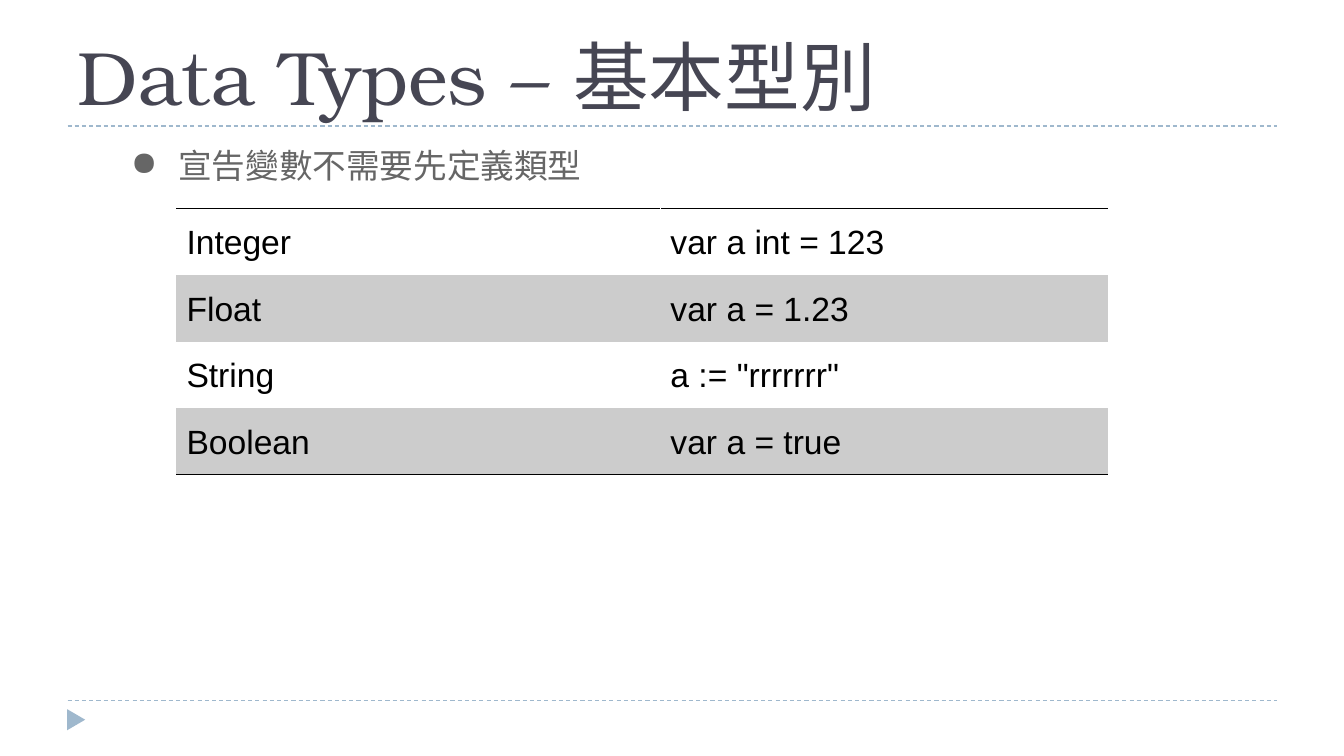
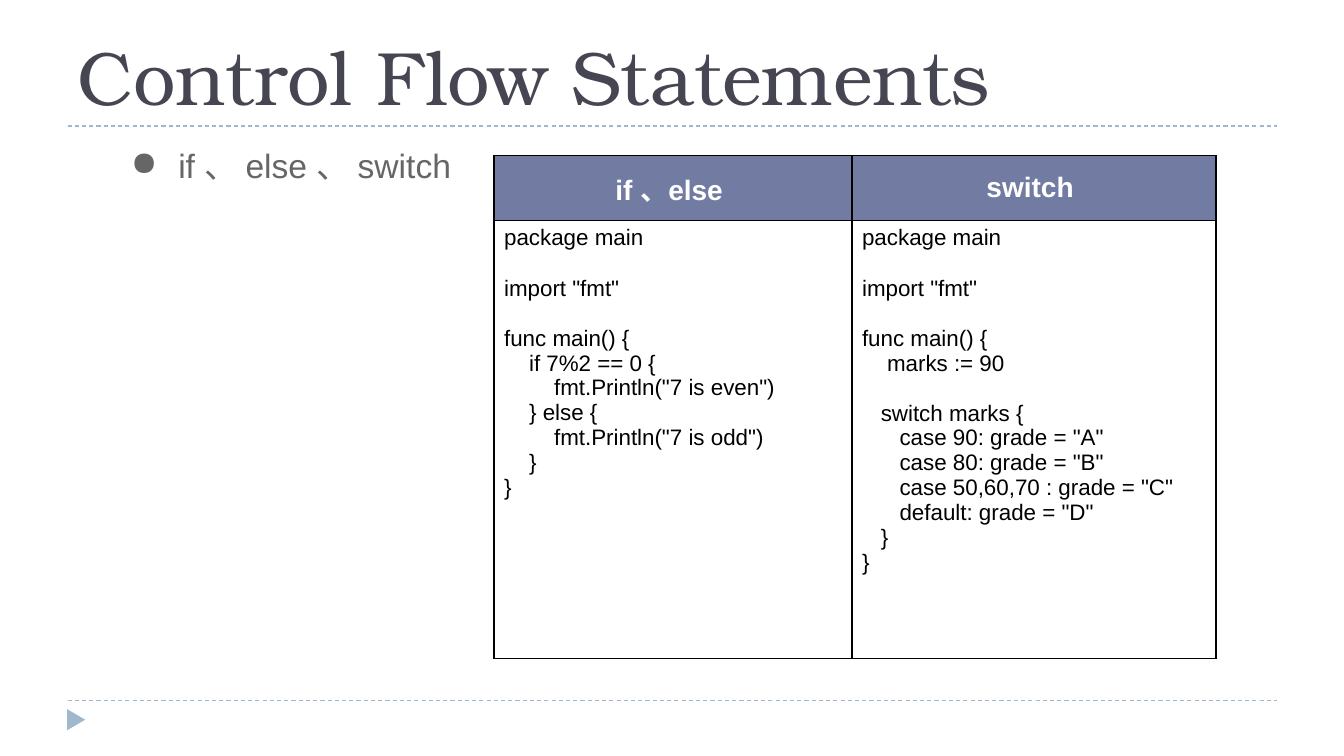
from lxml import etree
from pptx import Presentation
from pptx.dml.color import RGBColor
from pptx.enum import dml, shapes, text
from pptx.oxml import ns
from pptx.util import Inches, Pt

# Shared style
TITLE_FONT, BODY_FONT = "TeX Gyre Bonum", "Arial"
TITLE_COLOR, BODY_COLOR = "464653", "666666"
ACCENT, HEADER_FILL, BAND_FILL = "9FB8CD", "727CA3", "CCCCCC"
BLACK, WHITE = "000000", "FFFFFF"
LEFT, WIDTH = 0.67, 12
TITLE_RULE, FOOTER_RULE = 1.25, 6.95

# Code size, blank-line gap in points, and width of one space in inches
CODE_SIZE, CODE_GAP, SPACE_WIDTH = 16, 18, 0.062

TYPES = [
    ("Integer", "var a int = 123"),
    ("Float", "var a = 1.23"),
    ("String", 'a := "rrrrrrr"'),
    ("Boolean", "var a = true"),
]

# Each code line: indent in spaces, blank lines before, text
CODE_START = [(0, 0, "package main"), (0, 1, 'import "fmt"'), (0, 1, "func main() {")]
IF_CODE = CODE_START + [
    (4, 0, "if 7%2 == 0 {"),
    (8, 0, 'fmt.Println("7 is even")'),
    (4, 0, "} else {"),
    (8, 0, 'fmt.Println("7 is odd")'),
    (4, 0, "}"),
    (0, 0, "}"),
]
SWITCH_CODE = CODE_START + [
    (4, 0, "marks := 90"),
    (3, 1, "switch marks {"),
    (6, 0, 'case 90: grade = "A"'),
    (6, 0, 'case 80: grade = "B"'),
    (6, 0, 'case 50,60,70 : grade = "C"'),
    (6, 0, 'default: grade = "D"'),
    (3, 0, "}"),
    (0, 0, "}"),
]


def rgb(value):
    return RGBColor.from_string(value)


def format_runs(paragraph, size, color, font=BODY_FONT, bold=False):
    for run in paragraph.runs:
        run.font.name = font
        run.font.size = Pt(size)
        run.font.bold = bold
        run.font.color.rgb = rgb(color)


def set_indent(paragraph, margin, first_line=0):
    properties = paragraph._p.get_or_add_pPr()
    properties.set("marL", str(Inches(margin)))
    properties.set("indent", str(Inches(first_line)))
    return properties


def add_rule(slide, top):
    rule = slide.shapes.add_connector(
        shapes.MSO_CONNECTOR.STRAIGHT,
        Inches(LEFT), Inches(top), Inches(LEFT + WIDTH), Inches(top))
    rule.line.color.rgb = rgb(ACCENT)
    rule.line.width = Pt(0.75)
    rule.line.dash_style = dml.MSO_LINE.DASH
    etree.SubElement(rule._element.spPr, ns.qn("a:effectLst"))


def add_frame(slide):
    """Rules above and below the content, and the footer marker."""
    add_rule(slide, FOOTER_RULE)
    add_rule(slide, TITLE_RULE)
    marker = slide.shapes.add_shape(
        shapes.MSO_SHAPE.ISOSCELES_TRIANGLE,
        Inches(0.65), Inches(7.05), Inches(0.21), Inches(0.18))
    marker.rotation = 90
    marker.shadow.inherit = False
    marker.fill.solid()
    marker.fill.fore_color.rgb = rgb(ACCENT)
    marker.line.fill.background()


def set_title(slide, title):
    shape = slide.shapes.title
    shape.left, shape.top = Inches(LEFT), Inches(0.17)
    shape.width, shape.height = Inches(WIDTH), Inches(1.08)
    frame = shape.text_frame
    frame.text = title
    frame.auto_size = text.MSO_AUTO_SIZE.NONE
    frame.vertical_anchor = text.MSO_ANCHOR.BOTTOM
    frame.paragraphs[0].alignment = text.PP_ALIGN.LEFT
    format_runs(frame.paragraphs[0], 54, TITLE_COLOR, TITLE_FONT)


def add_bullet(slide, wording):
    box = slide.shapes.add_textbox(
        Inches(LEFT), Inches(1.33), Inches(WIDTH), Inches(5.4))
    frame = box.text_frame
    frame.word_wrap = True
    frame.text = wording
    paragraph = frame.paragraphs[0]
    paragraph.line_spacing = 1.15
    paragraph.space_before = Pt(11)
    format_runs(paragraph, 24, BODY_COLOR)
    properties = set_indent(paragraph, 1, -0.47)
    bullet_color = etree.SubElement(properties, ns.qn("a:buClr"))
    etree.SubElement(bullet_color, ns.qn("a:srgbClr"), val=BODY_COLOR)
    etree.SubElement(properties, ns.qn("a:buChar"), char="●")


def add_slide(presentation, title, bullet):
    slide = presentation.slides.add_slide(presentation.slide_layouts[5])
    add_frame(slide)
    set_title(slide, title)
    add_bullet(slide, bullet)
    return slide


# Tables
def add_table(slide, left, top, columns, rows):
    frame = slide.shapes.add_table(
        len(rows), len(columns), Inches(left), Inches(top),
        Inches(sum(columns)), Inches(sum(rows)))
    table = frame.table
    table.first_row = table.horz_banding = False
    for column, width in zip(table.columns, columns):
        column.width = Inches(width)
    for row, height in zip(table.rows, rows):
        row.height = Inches(height)
    return table


def set_borders(cell, borders):
    """Draw the sides given as {side: (colour, points)}; clear the others."""
    properties = cell._tc.get_or_add_tcPr()
    for index, side in enumerate("LRTB"):
        line = etree.Element(ns.qn(f"a:ln{side}"))
        properties.insert(index, line)
        if side in borders:
            color, width = borders[side]
            line.set("w", str(Pt(width)))
            fill = etree.SubElement(line, ns.qn("a:solidFill"))
            etree.SubElement(fill, ns.qn("a:srgbClr"), val=color)
        else:
            etree.SubElement(line, ns.qn("a:noFill"))


def set_fill(cell, color=None):
    if color:
        cell.fill.solid()
        cell.fill.fore_color.rgb = rgb(color)
    else:
        cell.fill.background()


def add_types_table(slide):
    table = add_table(slide, 1.75, 2.07, [4.8, 4.44], [0.62] * len(TYPES))
    last = len(TYPES) - 1
    for row, entries in enumerate(TYPES):
        for column, entry in enumerate(entries):
            cell = table.cell(row, column)
            borders = {}
            if row == 0:
                borders = {"T": (BLACK, 1), "RL"[column]: (WHITE, 1)}
            elif row == last:
                borders = {"B": (BLACK, 1)}
            set_borders(cell, borders)
            set_fill(cell, BAND_FILL if row % 2 else None)
            cell.margin_top = cell.margin_bottom = Inches(0.1)
            cell.text_frame.text = entry
            paragraph = cell.text_frame.paragraphs[0]
            paragraph.line_spacing = 1.15
            format_runs(paragraph, 24, BLACK)


def fill_header(cell, wording):
    set_fill(cell, HEADER_FILL)
    cell.vertical_anchor = text.MSO_ANCHOR.MIDDLE
    cell.text_frame.text = wording
    paragraph = cell.text_frame.paragraphs[0]
    paragraph.alignment = text.PP_ALIGN.CENTER
    format_runs(paragraph, 20, WHITE, bold=True)


def fill_code(cell, lines):
    set_fill(cell)
    cell.text_frame.text = "\n".join(line for _, _, line in lines)
    for paragraph, (spaces, blanks, _) in zip(cell.text_frame.paragraphs, lines):
        set_indent(paragraph, spaces * SPACE_WIDTH)
        paragraph.space_before = Pt(blanks * CODE_GAP)
        format_runs(paragraph, CODE_SIZE, BLACK)


def add_code_table(slide):
    table = add_table(slide, 4.9, 1.54, [3.55, 3.61], [0.65, 4.34])
    samples = [("if 、else ", IF_CODE), ("switch ", SWITCH_CODE)]
    for column, (heading, lines) in enumerate(samples):
        fill_header(table.cell(0, column), heading)
        fill_code(table.cell(1, column), lines)
    for cell in table.iter_cells():
        set_borders(cell, {"L": (BLACK, 1), "R": (BLACK, 1),
                           "T": (BLACK, 0.75), "B": (BLACK, 0.75)})


def main():
    presentation = Presentation()
    presentation.slide_width = Inches(13.33)
    presentation.slide_height = Inches(7.5)
    add_types_table(add_slide(
        presentation, "Data Types – 基本型別", "宣告變數不需要先定義類型"))
    add_code_table(add_slide(
        presentation, "Control Flow Statements", "if 、 else 、 switch"))
    presentation.save("out.pptx")


if __name__ == "__main__":
    main()
